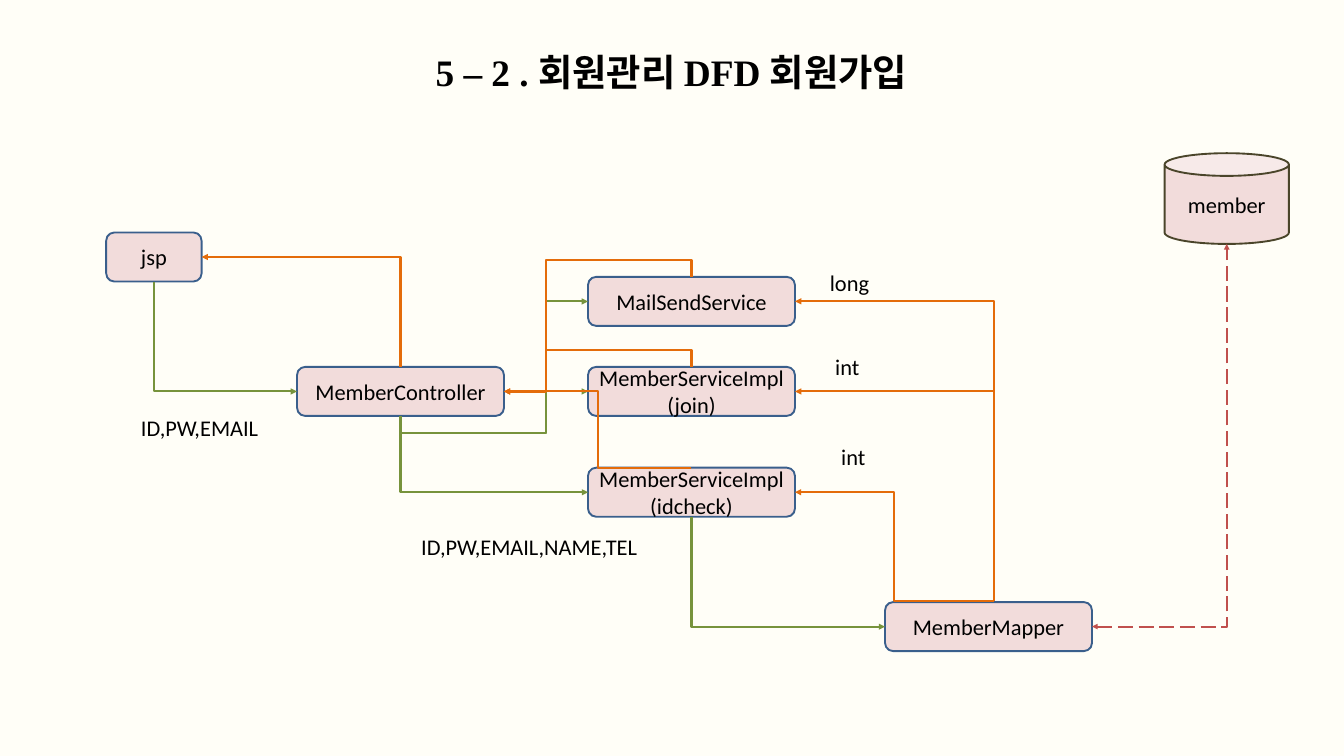
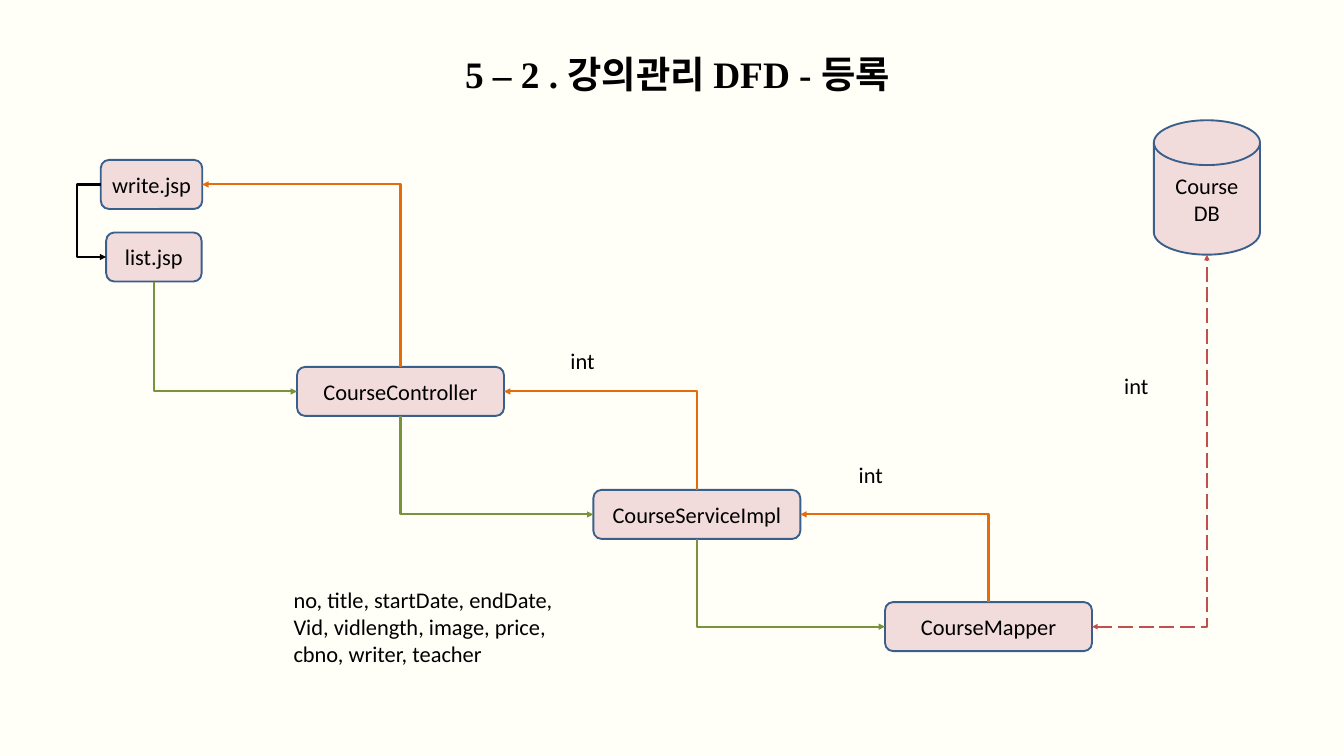
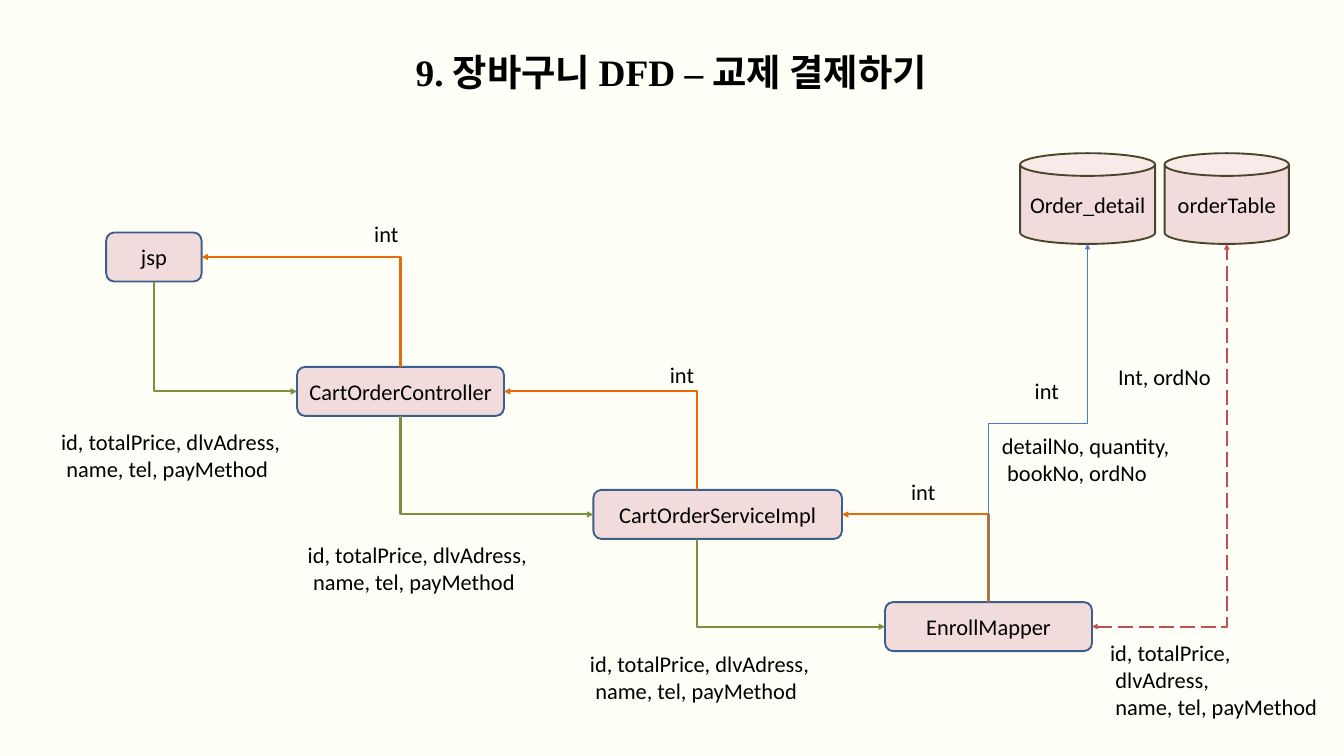
from lxml import etree
from pptx import Presentation
from pptx.dml.color import RGBColor
from pptx.enum.dml import MSO_LINE
from pptx.enum.shapes import MSO_CONNECTOR, MSO_SHAPE as SHAPE
from pptx.enum.text import MSO_ANCHOR, MSO_AUTO_SIZE, PP_ALIGN
from pptx.oxml.ns import qn
from pptx.util import Inches, Pt

CREAM = RGBColor(0xFF, 0xFE, 0xF7)
PINK = RGBColor(0xF2, 0xDC, 0xDB)
NAVY = RGBColor(0x3A, 0x5F, 0x8C)
OLIVE = RGBColor(0x4A, 0x45, 0x2A)
RED = RGBColor(0xC0, 0x50, 0x4D)
GREEN = RGBColor(0x77, 0x93, 0x3C)
ORANGE = RGBColor(0xE4, 0x6C, 0x0A)
BLUE = RGBColor(0x4B, 0x7E, 0xBC)
BLACK = RGBColor(0, 0, 0)

BOX_W, BOX_H = 3.08, 0.73
LINE_H, TEXT_PAD = 0.4, 0.1
TOP, LEFT, BOTTOM, RIGHT = range(4)
ORDER_FIELDS = ["id, totalPrice, dlvAdress,", "name, tel, payMethod"]


def write(tf, lines, size=24, font="Calibri", color=BLACK, bold=False,
          align=PP_ALIGN.LEFT, hang=0):
    """Fill a text frame, one paragraph a line; lines after the first are indented by hang."""
    for i, line in enumerate(lines):
        p = tf.paragraphs[0] if i == 0 else tf.add_paragraph()
        p.alignment = align
        if i and hang:
            p._p.get_or_add_pPr().set("marL", str(Inches(hang)))
        r = p.add_run()
        r.text = line
        r.font.size, r.font.name, r.font.bold = Pt(size), font, bold
        r.font.color.rgb = color


def at(x, y):
    return Inches(x), Inches(y)


def mid(sp, side):
    """Middle of one side of a shape."""
    x, y = sp.left + sp.width // 2, sp.top + sp.height // 2
    return {TOP: (x, sp.top), LEFT: (sp.left, y),
            BOTTOM: (x, sp.top + sp.height), RIGHT: (sp.left + sp.width, y)}[side]


class Diagram:
    """Data-flow diagrams in one style, drawn on the current slide."""

    def __init__(self):
        self.prs = Presentation()
        self.prs.slide_width, self.prs.slide_height = Inches(20), Inches(11.25)

    def new_slide(self, title, x=5.75, y=0.68, w=8.48):
        self.s = self.prs.slides.add_slide(self.prs.slide_layouts[6])
        fill = self.s.background.fill
        fill.solid()
        fill.fore_color.rgb = CREAM
        tb = self.s.shapes.add_textbox(*at(x, y), *at(w, 0.77))
        tb.text_frame.word_wrap = True
        write(tb.text_frame, [title], size=40, font="Times New Roman",
              bold=True, align=PP_ALIGN.CENTER)

    def box(self, lines, x, y, w=BOX_W, h=BOX_H, kind=SHAPE.ROUNDED_RECTANGLE, line=NAVY):
        sp = self.s.shapes.add_shape(kind, *at(x, y), *at(w, h))
        sp.shadow.inherit = False
        sp.fill.solid()
        sp.fill.fore_color.rgb = PINK
        sp.line.color.rgb, sp.line.width = line, Pt(2)
        sp.text_frame.vertical_anchor = MSO_ANCHOR.MIDDLE
        write(sp.text_frame, lines, align=PP_ALIGN.CENTER)
        return sp

    def table_can(self, name, x=17.33, w=1.85):
        return self.box([name], x, 2.28, w, 1.35, SHAPE.CAN, OLIVE)

    def label(self, lines, x, y, w=0.57, hang=0):
        tb = self.s.shapes.add_textbox(*at(x, y), *at(w, len(lines) * LINE_H + TEXT_PAD))
        tb.text_frame.word_wrap = False
        tb.text_frame.auto_size = MSO_AUTO_SIZE.SHAPE_TO_FIT_TEXT
        write(tb.text_frame, lines, hang=hang)

    def elbow(self, color, *points, width=2.25, both=False, dashed=False):
        """Draw an elbow arrow through points whose segments are level or upright."""
        (x1, y1), (x2, y2) = points[0], points[-1]
        dx, dy = x2 - x1, y2 - y1
        upright = points[1][0] == x1
        # An upright start is the level form turned by 270 degrees.
        along, across = (-dy, dx) if upright else (dx, dy)
        w, h = abs(along), abs(across)
        cn = self.s.shapes.add_connector(MSO_CONNECTOR.ELBOW, x1, y1, x2, y2)
        cn.left, cn.top = (x1 + x2 - w) // 2, (y1 + y2 - h) // 2
        cn.width, cn.height = w, h
        sp_pr = cn._element.spPr
        xfrm = sp_pr.xfrm
        xfrm.rot, xfrm.flipH, xfrm.flipV = 270 if upright else 0, along < 0, across < 0
        geom = sp_pr.find(qn("a:prstGeom"))
        geom.set("prst", f"bentConnector{len(points) - 1}")
        for i, (x, y) in enumerate(points[1:-2]):
            share = (x - x1) / dx if upright == (i % 2 == 1) else (y - y1) / dy
            etree.SubElement(geom.find(qn("a:avLst")), qn("a:gd"), name=f"adj{i + 1}",
                             fmla=f"val {round(share * 100000)}")
        self.style_line(cn, color, width, both, dashed)

    def style_line(self, cn, color, width, both, dashed):
        cn.line.color.rgb, cn.line.width = color, Pt(width)
        if dashed:
            cn.line.dash_style = MSO_LINE.LONG_DASH
        ln = cn.line._get_or_add_ln()
        for end in ("a:headEnd", "a:tailEnd")[0 if both else 1:]:
            etree.SubElement(ln, qn(end), type="triangle")
        etree.SubElement(cn._element.spPr, qn("a:effectLst"))

    def corner(self, color, start, end, **style):
        """Elbow arrow that leaves upright and turns once."""
        self.elbow(color, start, (start[0], end[1]), end, **style)

    def flow(self, page, controller, mapper, db):
        """Boxes and arrows common to every diagram; returns page, controller, mapper."""
        page = self.box([page], 1.58, 3.46, 1.42)
        controller = self.box([controller], 4.42, 5.46)
        mapper = self.box([mapper], 13.17, 8.96)
        start, end = mid(mapper, RIGHT), mid(db, BOTTOM)
        self.elbow(RED, start, (end[0], start[1]), end, width=2, both=True, dashed=True)
        self.corner(GREEN, mid(page, BOTTOM), mid(controller, LEFT))
        return page, controller, mapper

    def service_steps(self, controller, service, mapper):
        """Request and reply arrows from controller to service to mapper."""
        hub = service.left + Inches(BOX_W / 2)
        self.corner(GREEN, mid(controller, BOTTOM), mid(service, LEFT))
        self.corner(GREEN, (hub, mid(service, BOTTOM)[1]), mid(mapper, LEFT))
        self.corner(ORANGE, mid(mapper, TOP), mid(service, RIGHT))
        self.corner(ORANGE, (hub, service.top), mid(controller, RIGHT))


def member_join(d):
    d.new_slide("5 – 2 . 회원관리 DFD 회원가입")
    page, controller, mapper = d.flow("jsp", "MemberController", "MemberMapper",
                                      d.table_can("member"))
    idcheck, join, mail = [
        d.box([name], 8.75, y) for name, y in (
            ("MemberServiceImpl(idcheck)", 6.96), ("MemberServiceImpl(join)", 5.46),
            ("MailSendService", 4.12))]
    d.corner(GREEN, mid(controller, BOTTOM), mid(idcheck, LEFT))
    d.corner(GREEN, mid(idcheck, BOTTOM), mid(mapper, LEFT))
    d.corner(ORANGE, mid(controller, TOP), mid(page, RIGHT))

    trunk, step = Inches(8.12), Inches(0.25)
    out, back = mid(controller, BOTTOM), mid(controller, RIGHT)
    reply = at(14.79, 8.94)
    for service in (mail, join):
        end, top = mid(service, LEFT), mid(service, TOP)
        turn, rise = out[1] + step, top[1] - step
        d.elbow(GREEN, out, (out[0], turn), (trunk, turn), (trunk, end[1]), end)
        d.corner(ORANGE, reply, mid(service, RIGHT))
        d.elbow(ORANGE, top, (top[0], rise), (trunk, rise), (trunk, back[1]), back)
    for start, end in ((reply, mid(idcheck, RIGHT)), (mid(idcheck, TOP), back)):
        half = (start[0] + end[0]) // 2
        d.elbow(ORANGE, start, (half, start[1]), (half, end[1]), end)

    d.label(["ID,PW,EMAIL"], 2, 6.12, 1.96)
    d.label(["ID,PW,EMAIL,NAME,TEL"], 6.17, 7.88, 3.45)
    d.label(["long"], 12.25, 3.96, 0.79)
    d.label(["int"], 12.33, 5.21)
    d.label(["int"], 12.42, 6.54)


def course_entry(d):
    d.new_slide("5 – 2 . 강의관리 DFD - 등록", 6.33, 0.71, 7.5)
    db = d.box(["Course", "DB"], 17.17, 1.79, 1.58, 2, SHAPE.FLOWCHART_MAGNETIC_DISK)
    list_page, controller, mapper = d.flow("list.jsp", "CourseController", "CourseMapper", db)
    service = d.box(["CourseServiceImpl"], 8.83, 7.29)
    write_page = d.box(["write.jsp"], 1.5, 2.38, 1.51)
    d.service_steps(controller, service, mapper)
    d.corner(ORANGE, mid(controller, TOP), mid(write_page, RIGHT))
    start, end = mid(write_page, LEFT), mid(list_page, LEFT)
    gutter = Inches(1.14)
    d.elbow(BLACK, start, (gutter, start[1]), (gutter, end[1]), end)

    d.label(["no, title, startDate, endDate,", "Vid, vidlength, image, price,",
             "cbno, writer, teacher"], 4.27, 8.68, 4.17)
    for x, y in ((16.63, 5.49), (8.39, 5.11), (12.68, 6.82)):
        d.label(["int"], x, y)


def book_payment(d):
    d.new_slide("9. 장바구니 DFD – 교제 결제하기")
    page, controller, mapper = d.flow("jsp", "CartOrderController", "EnrollMapper",
                                      d.table_can("orderTable"))
    service = d.box(["CartOrderServiceImpl"], 8.83, 7.29, 3.7)
    detail = d.table_can("Order_detail", 15.18, 2.01)
    d.service_steps(controller, service, mapper)
    d.corner(ORANGE, mid(controller, TOP), mid(page, RIGHT))
    start, end = mid(mapper, TOP), mid(detail, BOTTOM)
    half = (start[1] + end[1]) // 2
    d.elbow(BLUE, start, (start[0], half), (end[0], half), end, width=0.75)

    for x, y in ((13.46, 7.06), (9.87, 5.32), (5.47, 3.22), (15.3, 5.57)):
        d.label(["int"], x, y)
    for x, y in ((0.81, 6.32), (4.48, 8.01), (8.68, 9.63)):
        d.label(ORDER_FIELDS, x, y, 3.49, hang=0.08)
    d.label(["id, totalPrice,", "dlvAdress,", "name, tel, payMethod"],
            16.42, 9.46, 3.31, hang=0.08)
    d.label(["Int, ordNo"], 16.54, 5.36, 1.59)
    d.label(["detailNo, quantity,", "bookNo, ordNo"], 14.81, 6.38, 2.72, hang=0.08)


def main():
    d = Diagram()
    for draw in (member_join, course_entry, book_payment):
        draw(d)
    d.prs.save("out.pptx")


if __name__ == "__main__":
    main()
